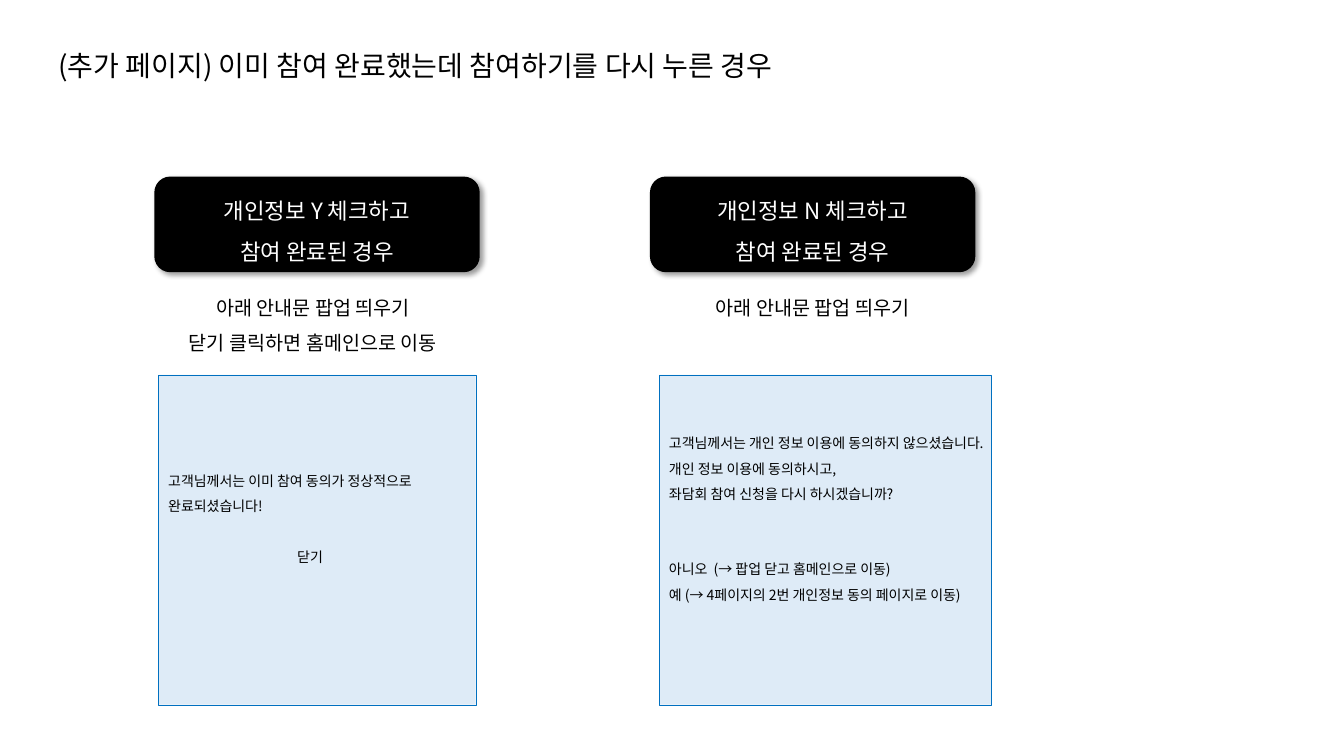
import pptx
import pptx.util
import pptx.oxml
import pptx.dml.color
import pptx.enum.shapes
import pptx.enum.text
from pptx.util import Cm

RGBColor = pptx.dml.color.RGBColor
BLACK = RGBColor(0x00, 0x00, 0x00)
WHITE = RGBColor(0xFF, 0xFF, 0xFF)
PALE_BLUE = RGBColor(0xDE, 0xEB, 0xF7)
BLUE = RGBColor(0x00, 0x70, 0xC0)
FONT = "Noto Sans CJK KR"
ALIGN = pptx.enum.text.PP_ALIGN
ANCHOR = pptx.enum.text.MSO_ANCHOR
SHAPE = pptx.enum.shapes.MSO_SHAPE
A_NS = 'xmlns:a="http://schemas.openxmlformats.org/drawingml/2006/main"'
SHADOW = (
    f'<a:effectLst {A_NS}><a:outerShdw blurRad="50800" dist="38100" dir="2700000" '
    'algn="tl" rotWithShape="0"><a:srgbClr val="000000"><a:alpha val="40000"/>'
    '</a:srgbClr></a:outerShdw></a:effectLst>'
)


def write(frame, text, size, color=BLACK, align=ALIGN.LEFT, anchor=ANCHOR.TOP,
          gaps=None, indents=None, bottom=Cm(0.13)):
    frame.word_wrap = True
    frame.auto_size = pptx.enum.text.MSO_AUTO_SIZE.NONE
    frame.vertical_anchor = anchor
    frame.margin_left = frame.margin_right = Cm(0.25)
    frame.margin_top, frame.margin_bottom = Cm(0.13), bottom
    frame.text = text
    for number, paragraph in enumerate(frame.paragraphs):
        paragraph.alignment = align
        paragraph.line_spacing = 1.5
        paragraph.space_before = pptx.util.Pt((gaps or {}).get(number, 0))
        if number in (indents or {}):
            properties = paragraph._p.get_or_add_pPr()
            properties.set("marL", str(indents[number]))
            properties.set("indent", "0")
        for run in paragraph.runs:
            run.font.size = pptx.util.Pt(size)
            run.font.name = FONT
            run.font.color.rgb = color
            run._r.get_or_add_rPr().append(
                pptx.oxml.parse_xml(f'<a:ea {A_NS} typeface="{FONT}"/>'))


def add_title(slide, text, left, top, width, height):
    title = slide.shapes.title
    title.left, title.top, title.width, title.height = left, top, width, height
    write(title.text_frame, text, 20)


def add_panel(slide, kind, left, top, width, height, fill):
    panel = slide.shapes.add_shape(kind, left, top, width, height)
    panel.shadow.inherit = False
    panel.fill.solid()
    panel.fill.fore_color.rgb = fill
    panel.line.fill.background()
    return panel


def add_case(slide, left, top, width, case):
    heading = add_panel(slide, SHAPE.ROUNDED_RECTANGLE, left, top, width, Cm(2.41), BLACK)
    properties = heading._element.spPr
    properties.replace(properties.find(pptx.oxml.ns.qn("a:effectLst")),
                       pptx.oxml.parse_xml(SHADOW))
    write(heading.text_frame, case["heading"], 16, color=WHITE,
          align=ALIGN.CENTER, anchor=ANCHOR.MIDDLE)

    action = slide.shapes.add_textbox(left + case["action_shift"], top + Cm(2.57),
                                      width, Cm(1.98))
    write(action.text_frame, case["action"], 14, align=ALIGN.CENTER)

    popup = add_panel(slide, SHAPE.RECTANGLE, left + case["popup_shift"], top + Cm(5),
                      case["popup_width"], Cm(8.31), PALE_BLUE)
    popup.line.color.rgb = BLUE
    popup.line.width = pptx.util.Pt(0.25)
    write(popup.text_frame, case["popup"], 10, anchor=ANCHOR.MIDDLE,
          gaps=case["gaps"], indents=case["indents"], bottom=Cm(1.4))


CASES = [
    dict(heading="개인정보 Y 체크하고\n참여 완료된 경우",
         action="아래 안내문 팝업 띄우기\n닫기 클릭하면 홈메인으로 이동",
         action_shift=Cm(-0.1), popup_shift=Cm(0.1), popup_width=Cm(8),
         popup="고객님께서는 이미 참여 동의가 정상적으로 완료되셨습니다!\n닫기",
         gaps={1: 18}, indents={1: Cm(3.25)}),
    dict(heading="개인정보 N 체크하고\n참여 완료된 경우",
         action="아래 안내문 팝업 띄우기",
         action_shift=Cm(0), popup_shift=Cm(0.23), popup_width=Cm(8.38),
         popup="고객님께서는 개인 정보 이용에 동의하지 않으셨습니다.\n"
               "개인 정보 이용에 동의하시고,\n"
               "좌담회 참여 신청을 다시 하시겠습니까?\n"
               "아니오  (→ 팝업 닫고 홈메인으로 이동)\n"
               "예 (→ 4페이지의 2번 개인정보 동의 페이지로 이동)",
         gaps={3: 36}, indents={}),
]

deck = pptx.Presentation()
deck.slide_width, deck.slide_height = Cm(33.87), Cm(19.05)
slide = deck.slides.add_slide(deck.slide_layouts[5])
add_title(slide, "(추가 페이지) 이미 참여 완료했는데 참여하기를 다시 누른 경우",
          Cm(1.22), Cm(0.66), Cm(31.85), Cm(1.42))
for column, case in enumerate(CASES):
    add_case(slide, Cm(3.89) + column * Cm(12.49), Cm(4.45), Cm(8.2), case)
deck.save("out.pptx")
